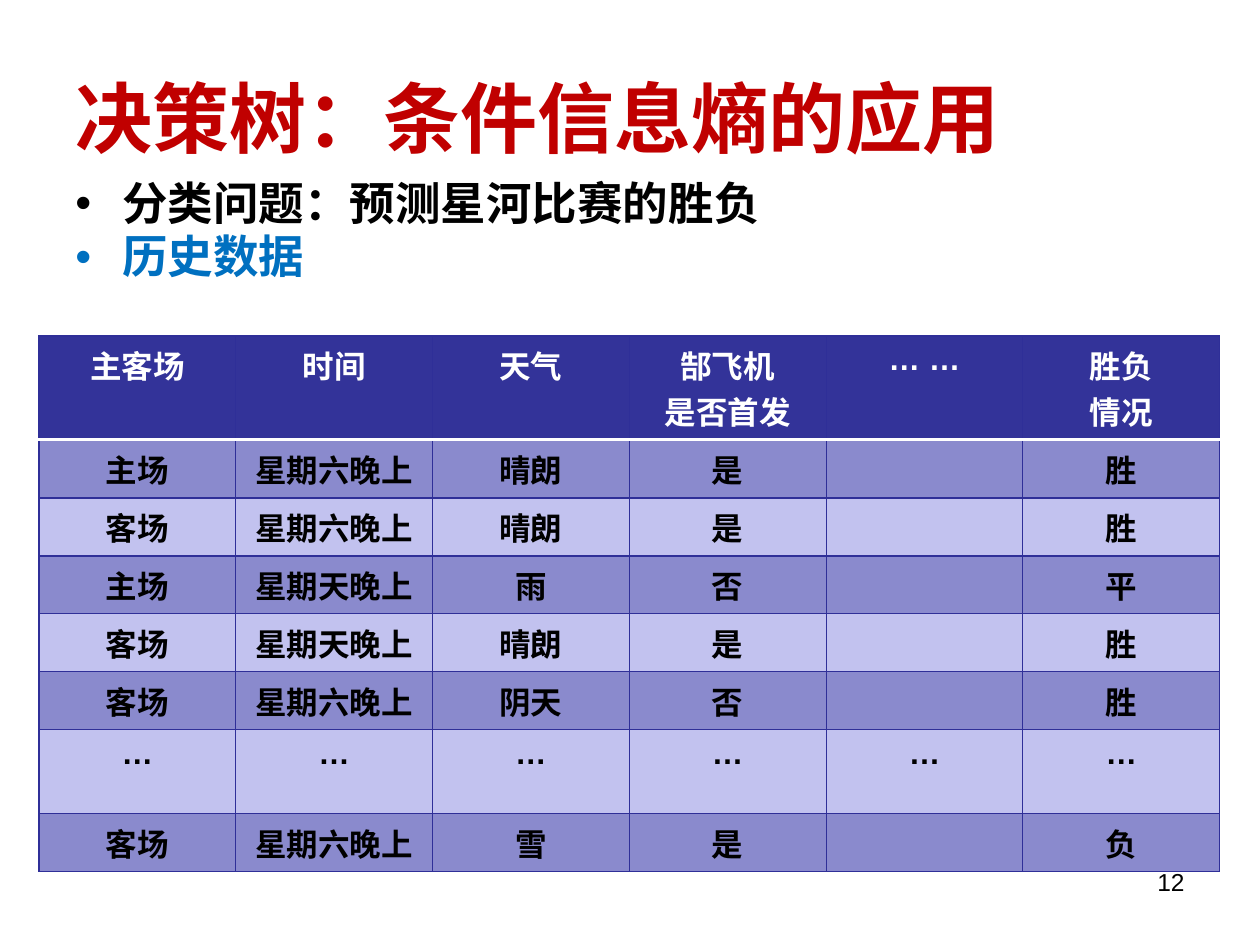
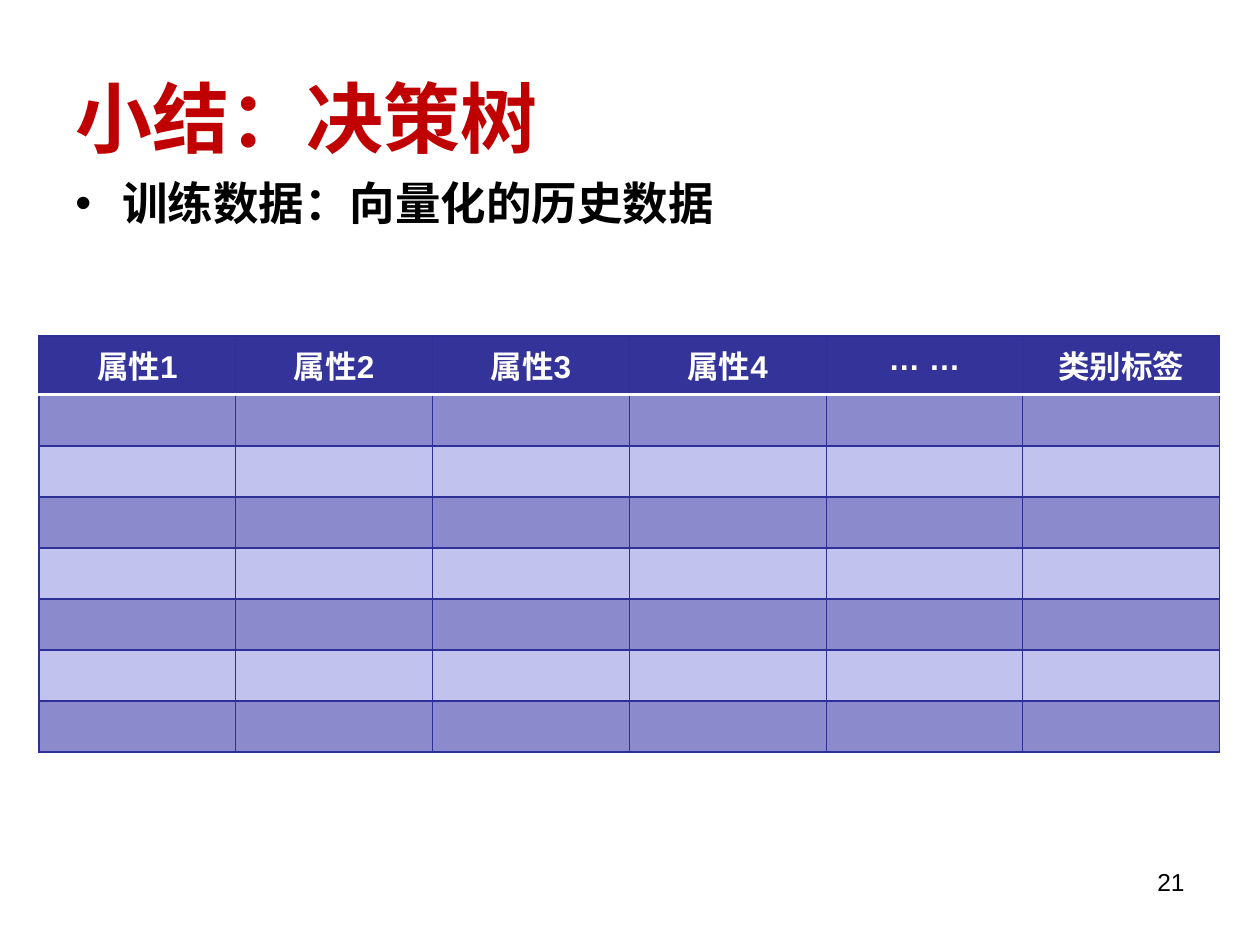
import pptx
import pptx.util
import pptx.dml.color
import pptx.enum.text
import pptx.oxml
import pptx.oxml.ns
import lxml.etree

HUE = {"title": "C00000", "ink": "000000", "blue": "0070C0", "head": "333399",
       "dark": "8A8ACD", "light": "C2C2EF", "rule": "2F2F98", "white": "FFFFFF"}
SANS, SERIF, HAN = "Arial", "Times New Roman", "Noto Sans CJK SC"

DECK = [
    {"title": "决策树：条件信息熵的应用",
     "page": "12",
     "points": [("分类问题：预测星河比赛的胜负", "ink"), ("历史数据", "blue")],
     "table": [
         ["主客场", "时间", "天气", "郜飞机\n是否首发", "… …", "胜负\n情况"],
         ["主场", "星期六晚上", "晴朗", "是", "", "胜"],
         ["客场", "星期六晚上", "晴朗", "是", "", "胜"],
         ["主场", "星期天晚上", "雨", "否", "", "平"],
         ["客场", "星期天晚上", "晴朗", "是", "", "胜"],
         ["客场", "星期六晚上", "阴天", "否", "", "胜"],
         ["…"] * 6,
         ["客场", "星期六晚上", "雪", "是", "", "负"]],
     "rows": [104] + [58] * 5 + [84, 58]},
    {"title": "小结：决策树",
     "page": "21",
     "points": [("训练数据：向量化的历史数据", "ink")],
     "table": [["属性1", "属性2", "属性3", "属性4", "… …", "类别标签"]]
     + [[""] * 6 for _ in range(7)],
     "rows": [59] + [51] * 7},
]

TITLE = (63, 38, 1134, 158)
PAGE = (903, 861, 294, 66)
BODY = (63, 175, 1134, 624)
TABLE = (39, 336)
WIDE = 1181
INDENT = 47

ALIGN = pptx.enum.text.PP_ALIGN
NS = pptx.oxml.ns


def px(size):
    return int(size * 914400 / 126)


def rgb(key):
    return pptx.dml.color.RGBColor.from_string(HUE[key])


def write(para, text, size, hue, face, bold=True):
    run = para.add_run()
    run.text = text
    font = run.font
    font.size = pptx.util.Pt(size)
    font.bold = bold
    font.name = face
    font.color.rgb = rgb(hue)
    east = lxml.etree.SubElement(run._r.get_or_add_rPr(), NS.qn("a:ea"))
    east.set("typeface", HAN)


def add_box(slide, place):
    frame = slide.shapes.add_textbox(*map(px, place)).text_frame
    frame.word_wrap = True
    return frame


def add_title(slide, text):
    frame = add_box(slide, TITLE)
    frame.vertical_anchor = pptx.enum.text.MSO_ANCHOR.MIDDLE
    write(frame.paragraphs[0], text, 44, "title", SERIF)


def add_page(slide, text):
    para = add_box(slide, PAGE).paragraphs[0]
    para.alignment = ALIGN.RIGHT
    write(para, text, 14, "ink", SANS, False)


def add_points(slide, points):
    frame = add_box(slide, BODY)
    for i, (text, hue) in enumerate(points):
        para = frame.add_paragraph() if i else frame.paragraphs[0]
        props = para._p.get_or_add_pPr()
        props.set("marL", str(px(INDENT)))
        props.set("indent", str(-px(INDENT)))
        face = lxml.etree.SubElement(props, NS.qn("a:buFont"))
        face.set("typeface", SANS)
        mark = lxml.etree.SubElement(props, NS.qn("a:buChar"))
        mark.set("char", "•")
        para.line_spacing = 0.9
        if i:
            para.space_before = pptx.util.Pt(2.5)
        write(para, text, 26, hue, HAN)


def set_edge(cell, side, hue, width):
    cell._tc.get_or_add_tcPr().append(pptx.oxml.parse_xml(
        f'<a:ln{side} {NS.nsdecls("a")} w="{pptx.util.Pt(width)}">'
        f'<a:solidFill><a:srgbClr val="{HUE[hue]}"/></a:solidFill></a:ln{side}>'))


def add_cell(cell, text, row):
    for side in "LRTB":
        white = (row, side) in ((0, "B"), (1, "T"))
        set_edge(cell, side, *(("white", 2) if white else ("rule", 0.75)))
    cell.fill.solid()
    cell.fill.fore_color.rgb = rgb("head" if row == 0 else "dark" if row % 2 else "light")
    frame = cell.text_frame
    for i, line in enumerate(text.split("\n")):
        para = frame.add_paragraph() if i else frame.paragraphs[0]
        para.alignment = ALIGN.CENTER
        if line:
            write(para, line, 18, "ink" if row else "white", SANS)


def add_grid(slide, cells, rows):
    count = len(cells[0])
    place = map(px, (*TABLE, WIDE, sum(rows)))
    table = slide.shapes.add_table(len(cells), count, *place).table
    for col in table.columns:
        col.width = px(WIDE / count)
    for r, (line, high) in enumerate(zip(cells, rows)):
        table.rows[r].height = px(high)
        for c, text in enumerate(line):
            add_cell(table.cell(r, c), text, r)


def main():
    deck = pptx.Presentation()
    deck.slide_width, deck.slide_height = px(1260), px(945)
    for page in DECK:
        slide = deck.slides.add_slide(deck.slide_layouts[6])
        add_title(slide, page["title"])
        add_page(slide, page["page"])
        add_points(slide, page["points"])
        add_grid(slide, page["table"], page["rows"])
    deck.save("out.pptx")


if __name__ == "__main__":
    main()
